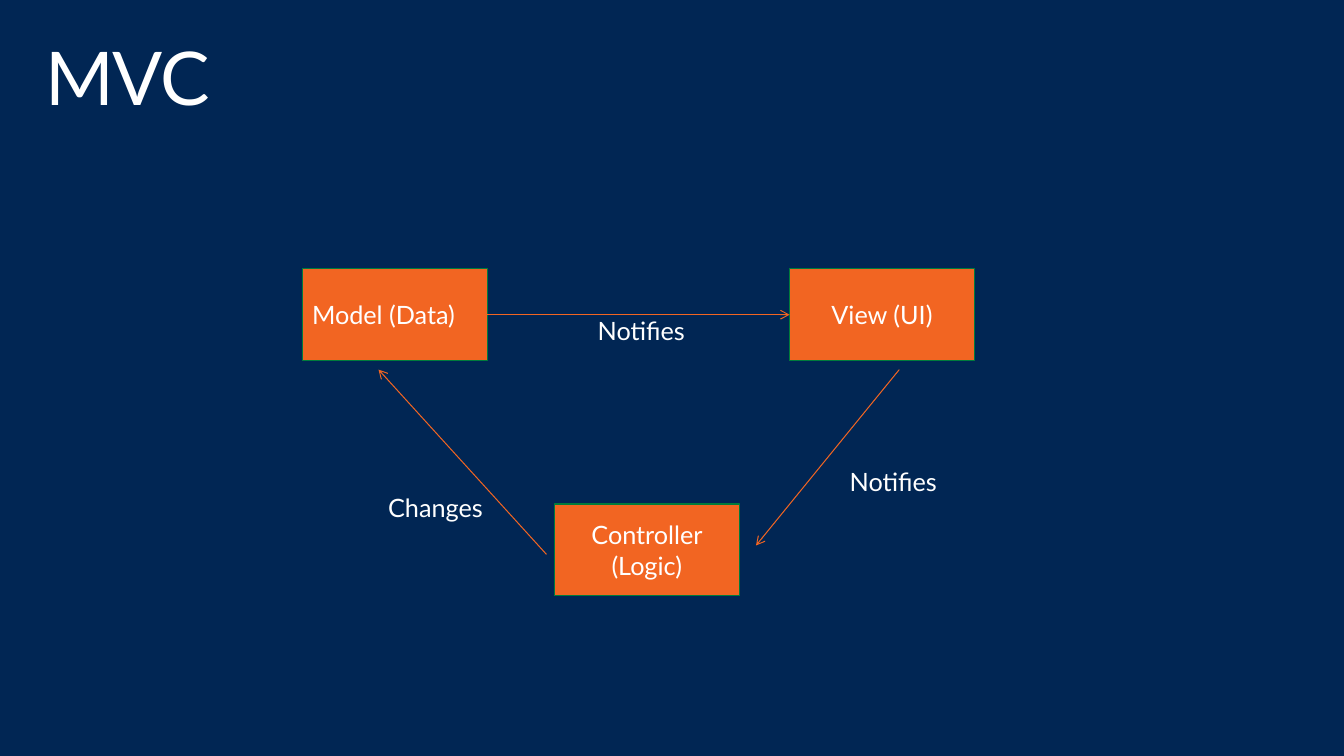
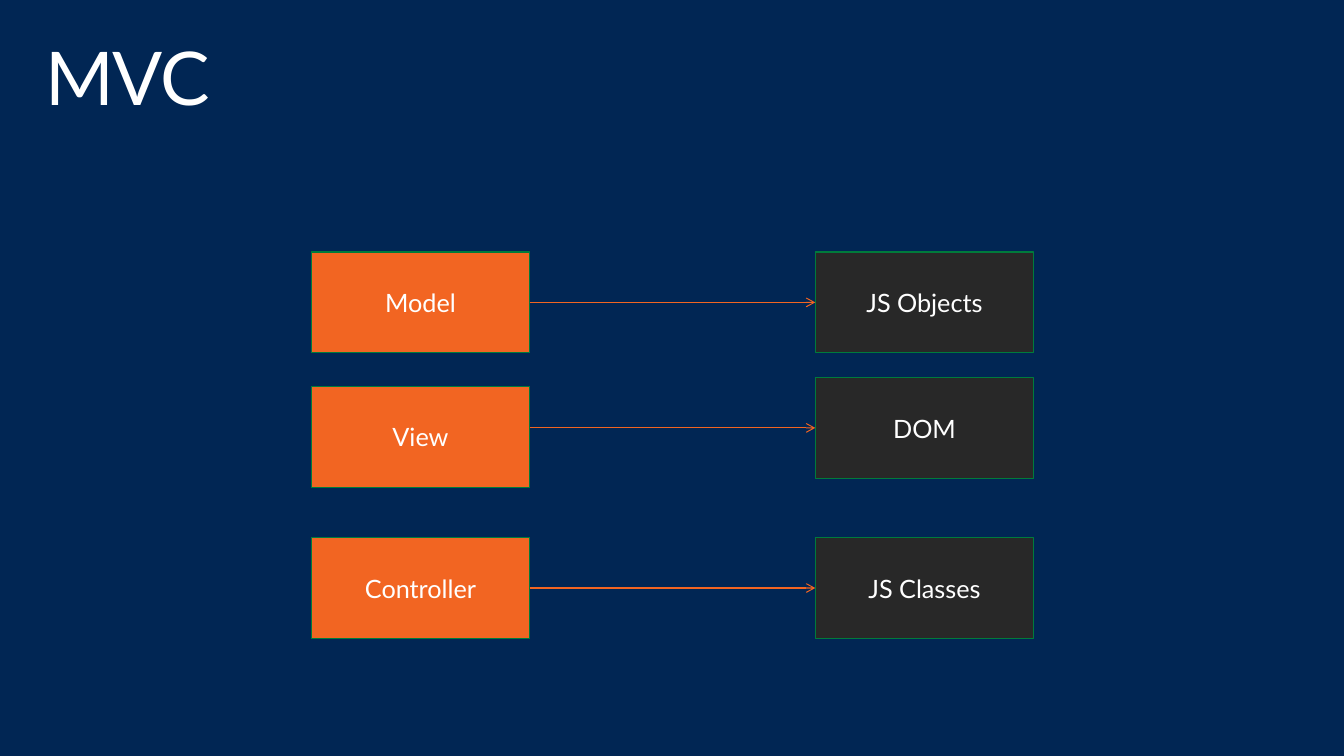
from lxml import etree
from pptx import Presentation
from pptx.dml.color import RGBColor
from pptx.enum.shapes import MSO_CONNECTOR, MSO_SHAPE
from pptx.enum.text import MSO_ANCHOR, MSO_AUTO_SIZE, PP_ALIGN
from pptx.oxml.ns import qn
from pptx.util import Inches, Pt

STRAIGHT = MSO_CONNECTOR.STRAIGHT
RECTANGLE = MSO_SHAPE.RECTANGLE
TOP, MIDDLE = MSO_ANCHOR.TOP, MSO_ANCHOR.MIDDLE
LEFT, CENTER = PP_ALIGN.LEFT, PP_ALIGN.CENTER
FIT_SHAPE, NO_FIT = MSO_AUTO_SIZE.SHAPE_TO_FIT_TEXT, MSO_AUTO_SIZE.NONE

NAVY, ORANGE, CHARCOAL = "012654", "F26522", "282828"
GREEN, WHITE = "007B3C", "FFFFFF"
FONT = "Lato"
TITLE_SIZE, TEXT_SIZE = 54, 18.4
LEFT_SIDE, RIGHT_SIDE = 1, 3


def color(value):
    return RGBColor.from_string(value)


def write(tf, text, size=TEXT_SIZE, align=LEFT):
    tf.text = text
    p = tf.paragraphs[0]
    p.alignment = align
    r = p.runs[0]
    r.font.name = FONT
    r.font.size = Pt(size)
    r.font.color.rgb = color(WHITE)
    return p


def add_slide(prs, title):
    s = prs.slides.add_slide(prs.slide_layouts[5])
    sp = s.shapes.title
    sp.left, sp.top = Inches(0.3), Inches(0.32)
    sp.width, sp.height = Inches(13), Inches(1)
    tf = sp.text_frame
    tf.margin_left = tf.margin_right = Inches(0.16)
    tf.margin_top = tf.margin_bottom = Inches(0.1)
    tf.vertical_anchor = TOP
    tf.auto_size = NO_FIT
    p = write(tf, title, TITLE_SIZE)
    p.line_spacing = 0.9
    p.runs[0].font._element.set("spc", "-100")
    return s


def add_box(s, text, x, y, w, h, fill=ORANGE, align=CENTER):
    sp = s.shapes.add_shape(RECTANGLE, Inches(x), Inches(y), Inches(w), Inches(h))
    sp.shadow.inherit = False
    sp.fill.solid()
    sp.fill.fore_color.rgb = color(fill)
    sp.line.color.rgb = color(GREEN)
    sp.line.width = Pt(0.85)
    sp.text_frame.vertical_anchor = MIDDLE
    sp.text_frame.word_wrap = True
    write(sp.text_frame, text, align=align)
    return sp


def add_label(s, text, x, y, w):
    sp = s.shapes.add_textbox(Inches(x), Inches(y), Inches(w), Inches(0.42))
    sp.text_frame.word_wrap = False
    sp.text_frame.auto_size = FIT_SHAPE
    write(sp.text_frame, text)


def add_arrow(s, x1, y1, x2, y2):
    arrow = s.shapes.add_connector(
        STRAIGHT, Inches(x1), Inches(y1), Inches(x2), Inches(y2))
    arrow.line.color.rgb = color(ORANGE)
    arrow.line.width = Pt(0.75)
    spPr = arrow._element.spPr
    etree.SubElement(spPr.find(qn("a:ln")), qn("a:tailEnd"), type="arrow")
    etree.SubElement(spPr, qn("a:effectLst"))
    return arrow


def add_cycle_slide(prs):
    s = add_slide(prs, "MVC")
    w, h, top = 1.87, 0.93, 2.72
    model = add_box(s, "Model (Data)", 3.06, top, w, h, align=LEFT)
    add_box(s, "Controller (Logic)", 5.61, 5.1, w, h)
    view = add_box(s, "View (UI)", 7.99, top, w, h)

    arrow = add_arrow(s, 4.93, 3.19, 7.99, 3.19)
    arrow.begin_connect(model, RIGHT_SIDE)
    arrow.end_connect(view, LEFT_SIDE)
    add_arrow(s, 9.1, 3.74, 7.65, 5.52)
    add_arrow(s, 5.53, 5.61, 3.83, 3.74)

    add_label(s, "Notifies", 5.95, 3.14, 1.11)
    add_label(s, "Notifies", 8.5, 4.67, 1.11)
    add_label(s, "Changes", 3.83, 4.93, 1.2)


def add_mapping_slide(prs):
    s = add_slide(prs, "MVC")
    w, h, part_x, code_x = 2.21, 1.02, 3.15, 8.25
    rows = [
        ("Model", 2.55, "JS Objects", 2.55),
        ("View", 3.91, "DOM", 3.82),
        ("Controller", 5.44, "JS Classes", 5.44),
    ]
    for part, part_y, code, code_y in rows:
        part_box = add_box(s, part, part_x, part_y, w, h)
        code_box = add_box(s, code, code_x, code_y, w, h, CHARCOAL)
        y = code_y + h / 2
        arrow = add_arrow(s, part_x + w, y, code_x, y)
        if part_y == code_y:
            arrow.begin_connect(part_box, RIGHT_SIDE)
        arrow.end_connect(code_box, LEFT_SIDE)


def main():
    prs = Presentation()
    prs.slide_width, prs.slide_height = Inches(13.6), Inches(7.65)
    fill = prs.slide_master.background.fill
    fill.solid()
    fill.fore_color.rgb = color(NAVY)
    add_cycle_slide(prs)
    add_mapping_slide(prs)
    prs.save("out.pptx")


if __name__ == "__main__":
    main()
